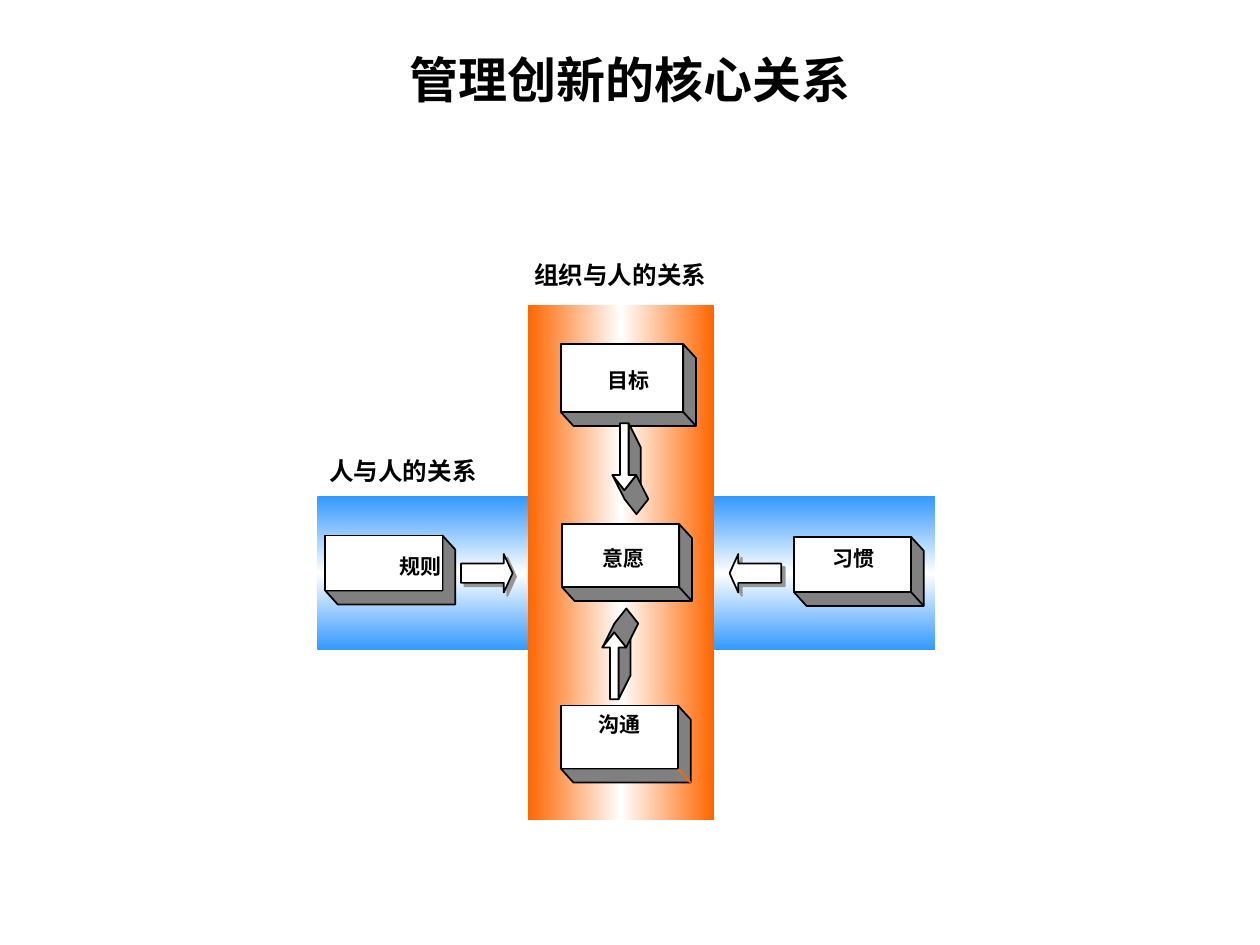
from lxml.etree import SubElement
from pptx import Presentation
from pptx.dml.color import RGBColor
from pptx.enum.shapes import MSO_CONNECTOR
from pptx.enum.text import MSO_ANCHOR, PP_ALIGN
from pptx.oxml.ns import qn
from pptx.util import Pt

C = {"ink": "000000", "face": "FFFFFF", "side": "808080", "shadow": "969696",
     "blue": "3399FF", "orange": "FF6600"}
CJK = "Noto Sans CJK SC"
DEPTH = (7.3, 8)
ARROW_DEPTH = (6.9, 13.7)


def rgb(name):
    """Return the named colour."""
    return RGBColor.from_string(C[name])


def add_text(s, text, box, size=12, font=CJK, align=PP_ALIGN.CENTER,
             anchor=MSO_ANCHOR.TOP, wrap=True, inset=(5.8, 2.9)):
    """Place one line of bold text in box."""
    tf = s.shapes.add_textbox(*map(Pt, box)).text_frame
    tf.word_wrap = wrap
    tf.vertical_anchor = anchor
    tf.margin_left = tf.margin_right = Pt(inset[0])
    tf.margin_top = tf.margin_bottom = Pt(inset[1])
    p = tf.paragraphs[0]
    p.alignment = align
    r = p.add_run()
    r.text = text
    r.font.size, r.font.bold, r.font.name = Pt(size), True, font
    r.font.color.rgb = rgb("ink")
    SubElement(r.font._element, qn("a:ea"), typeface=CJK)


def add_outline(s, points, fill="face", line="ink"):
    """Draw a closed outline through points."""
    pts = [(Pt(x), Pt(y)) for x, y in points]
    fb = s.shapes.build_freeform(*pts[0], scale=1.0)
    fb.add_line_segments(pts[1:], close=True)
    sp = fb.convert_to_shape()
    sp.shadow.inherit = False
    sp.fill.solid()
    sp.fill.fore_color.rgb = rgb(fill)
    if line:
        sp.line.color.rgb = rgb(line)
        sp.line.width = Pt(1)
    else:
        sp.line.fill.background()
    return sp


def add_band(s, box, color, angle):
    """Draw a band that fades to white along its middle."""
    x, y, w, h = box
    sp = add_outline(s, [(x, y), (x + w, y), (x + w, y + h), (x, y + h)], line=None)
    sp.fill.gradient()
    sp.fill.gradient_angle = -angle % 360
    stops = sp._element.spPr.find(qn("a:gradFill")).find(qn("a:gsLst"))
    for gs in list(stops):
        stops.remove(gs)
    for pos, name in ((0, color), (50, "face"), (100, color)):
        gs = SubElement(stops, qn("a:gs"), pos=str(pos * 1000))
        SubElement(gs, qn("a:srgbClr"), val=C[name])


def add_block(s, text, box, offset, edge="ink"):
    """Draw a raised block whose front face is box, with its label."""
    x, y, w, h = box
    dx, dy = DEPTH
    r, b = x + w, y + h
    add_outline(s, [(x, b), (r, b), (r, y), (r + dx, y + dy),
                    (r + dx, b + dy), (x + dx, b + dy)], "side")
    if edge:
        c = s.shapes.add_connector(MSO_CONNECTOR.STRAIGHT,
                                   *map(Pt, (r, b, r + dx, b + dy)))
        c.line.color.rgb = rgb(edge)
        c.line.width = Pt(1)
        SubElement(c._element.spPr, qn("a:effectLst"))
    add_outline(s, [(x, y), (r, y), (r, b), (x, b)])
    add_text(s, text, (x + offset[0], y + offset[1], 44, 20.2))


def add_flat_arrow(s, box, left=False):
    """Draw a horizontal arrow with a soft grey shadow."""
    x, y, w, h = box
    head, stem = w - 5, h / 4
    pts = [(0, stem), (head, stem), (head, 0), (w, h / 2),
           (head, h), (head, h - stem), (0, h - stem)]
    sp = add_outline(s, [(x + (w - u if left else u), y + v) for u, v in pts])
    fx = sp._element.spPr.find(qn("a:effectLst"))
    shadow = SubElement(fx, qn("a:outerShdw"), dist=str(Pt(2.8)), dir="2700000",
                        algn="ctr", rotWithShape="0")
    SubElement(shadow, qn("a:srgbClr"), val=C["shadow"])


def add_deep_arrow(s, box, up=False):
    """Draw a vertical arrow with a receding grey side."""
    x, y, w, h = box
    dx, dy = ARROW_DEPTH
    neck, l, r, mid = h - 8.6, w * 0.32, w * 0.68, w / 2

    def place(points, fill):
        """Draw points given from the tail of the arrow."""
        add_outline(s, [(x + u, y + (h - v if up else v)) for u, v in points], fill)

    place([(r, 0), (r + dx, dy), (r + dx, neck + dy), (r, neck)], "side")
    place([(w, neck), (w + dx, neck + dy), (mid + dx, h + dy),
           (dx, neck + dy), (0, neck), (mid, h)], "side")
    place([(l, 0), (r, 0), (r, neck), (w, neck), (mid, h), (0, neck), (l, neck)], "face")


def add_people_band(s, box):
    """Draw the horizontal band between people."""
    x, y, w, h = box
    add_band(s, box, "blue", 90)
    add_flat_arrow(s, (x + 82, y + 32.9, 29.5, 22))
    add_flat_arrow(s, (x + 235.5, y + 32.9, 29.5, 22), left=True)
    add_text(s, "人与人的关系", (x - 4.1, y - 26, 106, 22.3), size=14)
    add_block(s, "规则", (x + 4.4, y + 22.3, 67, 31.5), (32.4, 7.4), edge=None)
    add_block(s, "习惯", (x + 272.2, y + 23.1, 67, 31.5), (12.3, 2.2))


def add_organisation_band(s, box):
    """Draw the vertical band between organisation and people."""
    x, y, w, h = box
    add_band(s, box, "orange", 0)
    add_block(s, "沟通", (x + 18.7, y + 229, 67, 36), (11.9, 0.7), edge="orange")
    add_block(s, "意愿", (x + 19.4, y + 125.3, 67, 36), (13, 9.4))
    add_block(s, "目标", (x + 18.7, y + 22.4, 70, 38.8), (16.9, 10.8))
    add_deep_arrow(s, (x + 48.3, y + 67.7, 13.6, 38.2))
    add_deep_arrow(s, (x + 42.5, y + 187.2, 13.6, 38.2), up=True)
    add_text(s, "组织与人的关系", (x - 2.2, y - 28.4, 118, 22.3), size=14,
             align=PP_ALIGN.LEFT)


def main():
    """Build the slide and save it."""
    prs = Presentation()
    prs.slide_width, prs.slide_height = Pt(720), Pt(540)
    s = prs.slides.add_slide(prs.slide_layouts[6])
    add_people_band(s, (181.4, 283.7, 352.8, 87.8))
    add_organisation_band(s, (301.7, 174.2, 106.2, 294.5))
    add_text(s, "管理创新的核心关系", (54, 30.2, 612, 30.2), size=28,
             font="Times New Roman", anchor=MSO_ANCHOR.MIDDLE, inset=(7.2, 3.6))
    prs.save("out.pptx")


if __name__ == "__main__":
    main()
